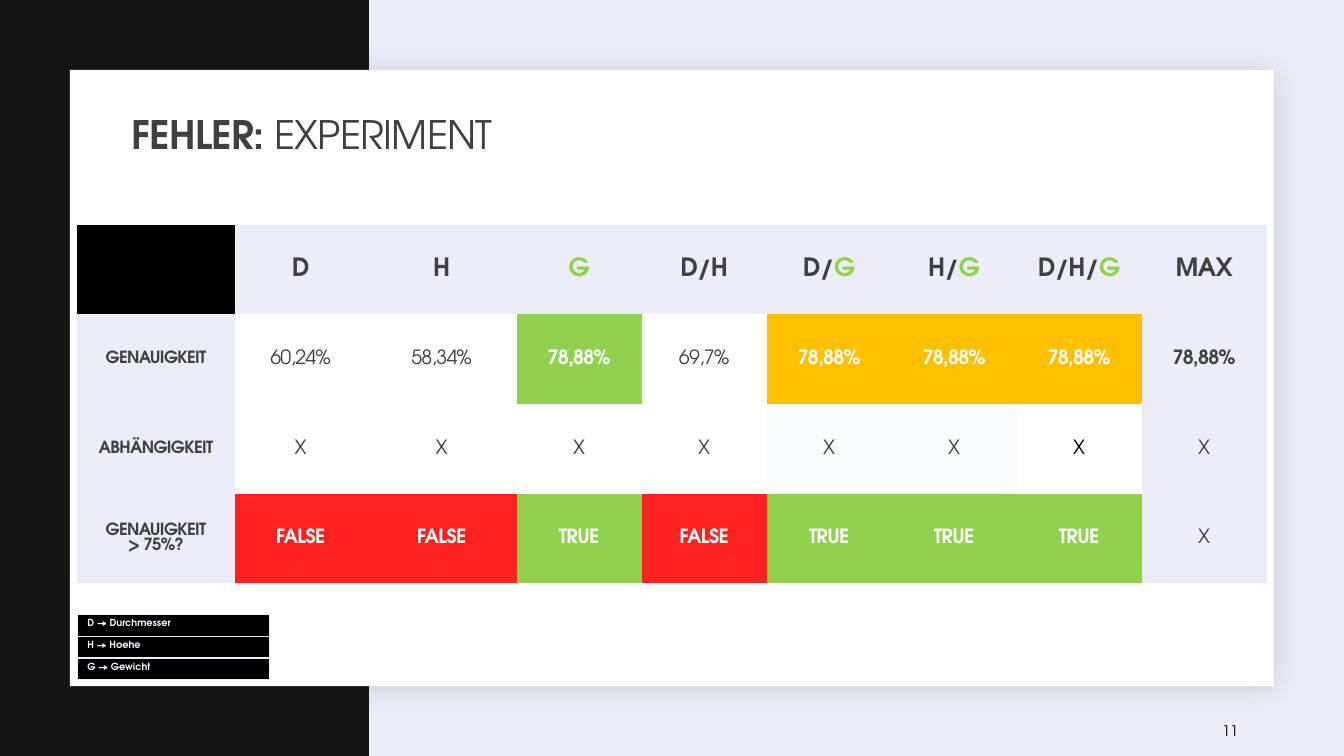
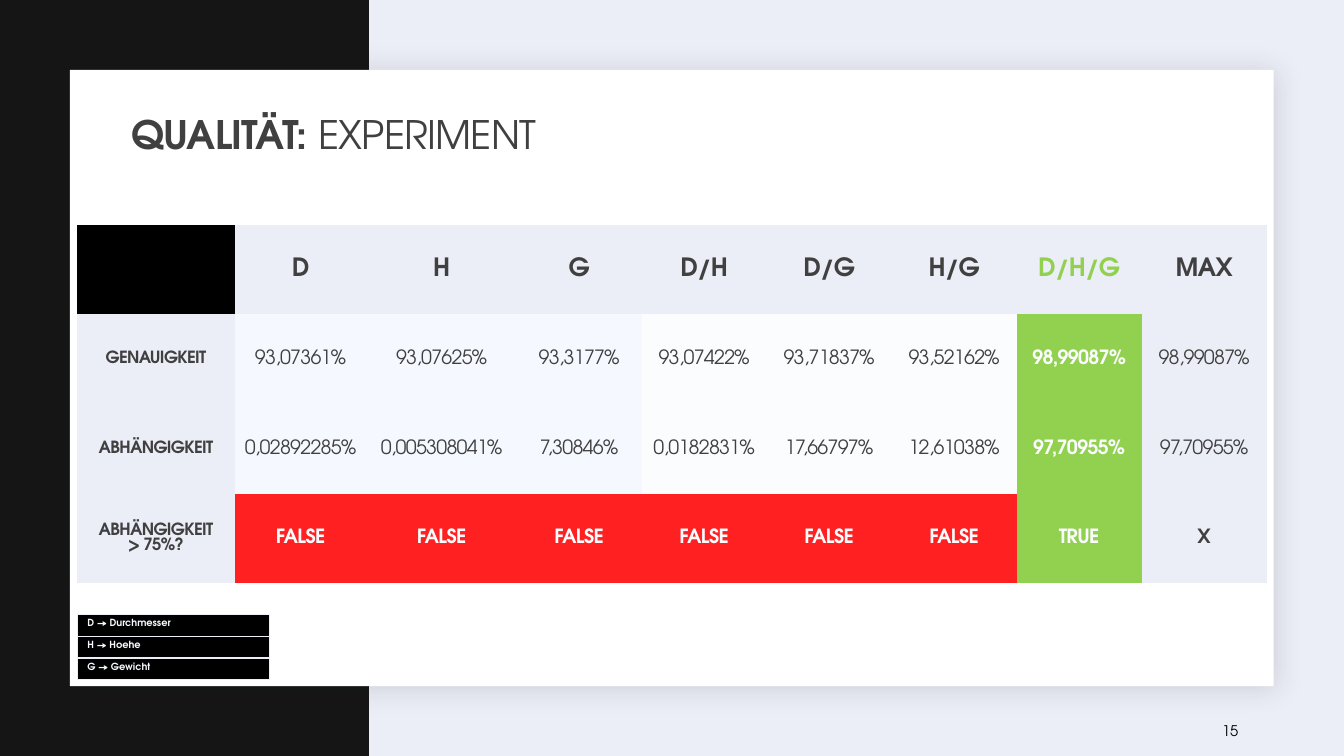
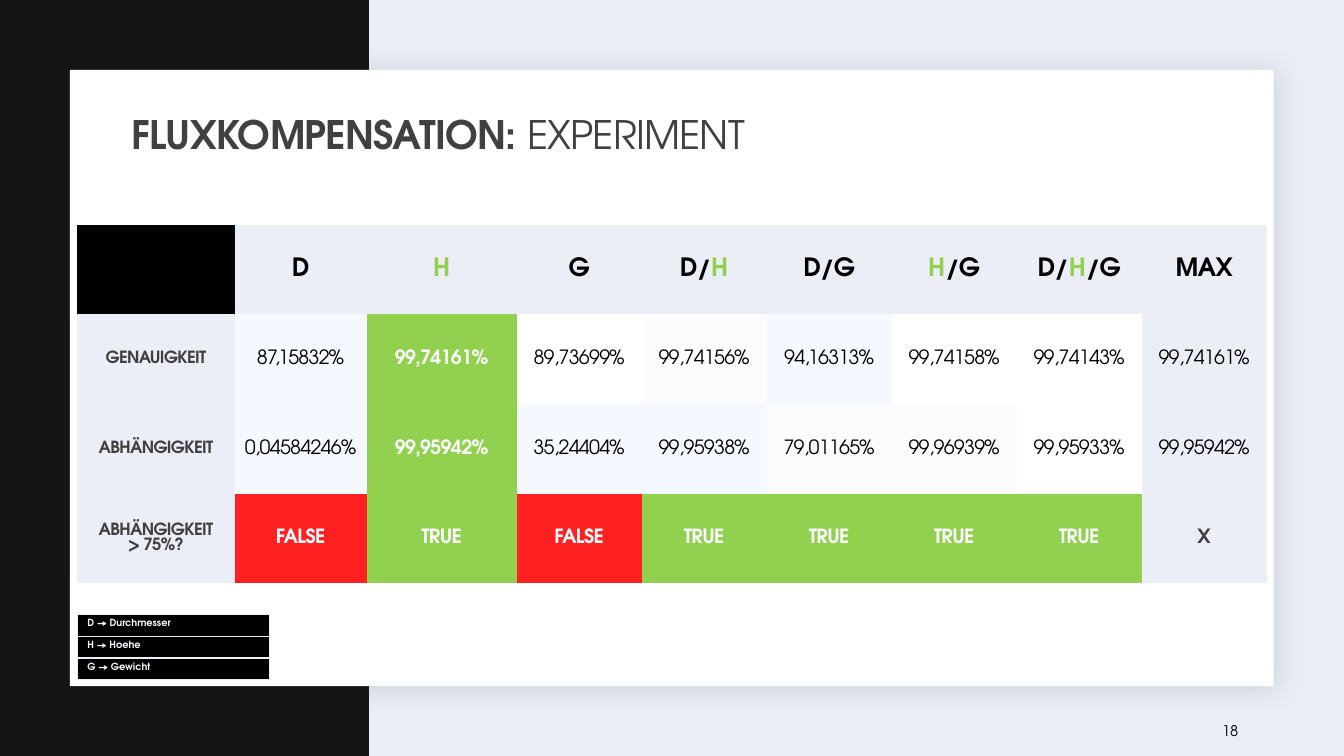
from lxml import etree
from pptx import Presentation
from pptx.dml.color import RGBColor
from pptx.enum.shapes import MSO_SHAPE
from pptx.enum.text import MSO_ANCHOR, PP_ALIGN
from pptx.oxml.ns import qn
from pptx.util import Cm, Pt

RECT = MSO_SHAPE.RECTANGLE
MIDDLE, TOP = MSO_ANCHOR.MIDDLE, MSO_ANCHOR.TOP
LEFT, CENTER = PP_ALIGN.LEFT, PP_ALIGN.CENTER

FONT = "TeX Gyre Adventor"
NO_STYLE = "{2D5ABB26-0587-4C30-8999-92F81FD0307C}"
COLORS = {
    "panel": "ECEEF7", "band": "141514", "white": "FFFFFF", "black": "000000",
    "text": "404040", "mist": "FBFCFD", "ice": "F5F8FF", "shadow": "1F2125",
    "green": "92D050", "amber": "FFC000", "red": "FF2121",
}

# Cell code: fill, text colour (None = colour of the slide), bold
STYLES = {
    "w": ("white", None, False),
    "k": ("white", "black", False),
    "m": ("mist", None, False),
    "b": ("ice", None, False),
    "p": ("panel", None, False),
    "P": ("panel", "text", True),
    "g": ("green", "mist", True),
    "y": ("amber", "mist", True),
    "r": ("red", "mist", True),
}

HEADERS = ["D", "H", "G", "D/H", "D/G", "H/G", "D/H/G", "MAX"]
COL_WIDTHS = [3.96, 3.33, 3.78] + [3.15] * 6
LEGEND = ["D → Durchmesser", "H → Hoehe", "G → Gewicht"]

# Each row: label lines, cell codes, values
SLIDES = [
    {"title": "FEHLER:", "page": "11", "winner": "G", "ink": "text", "rows": [
        (["GENAUIGKEIT"], "wwgwyyyP",
         ["60,24%", "58,34%", "78,88%", "69,7%"] + ["78,88%"] * 4),
        (["ABHÄNGIGKEIT"], "wwwwmmkp", ["X"] * 8),
        (["GENAUIGKEIT", "> 75%?"], "rrgrgggp",
         ["FALSE", "FALSE", "TRUE", "FALSE", "TRUE", "TRUE", "TRUE", "X"]),
    ]},
    {"title": "QUALITÄT:", "page": "15", "winner": "D/H/G", "ink": "text", "rows": [
        (["GENAUIGKEIT"], "bbbmmmgp",
         ["93,07361%", "93,07625%", "93,3177%", "93,07422%",
          "93,71837%", "93,52162%", "98,99087%", "98,99087%"]),
        (["ABHÄNGIGKEIT"], "bbbmmmgp",
         ["0,02892285%", "0,005308041%", "7,30846%", "0,0182831%",
          "17,66797%", "12,61038%", "97,70955%", "97,70955%"]),
        (["ABHÄNGIGKEIT", "> 75%?"], "rrrrrrgP", ["FALSE"] * 6 + ["TRUE", "X"]),
    ]},
    {"title": "FLUXKOMPENSATION:", "page": "18", "winner": "H", "ink": "black", "rows": [
        (["GENAUIGKEIT"], "bgwmbwwp",
         ["87,15832%", "99,74161%", "89,73699%", "99,74156%",
          "94,16313%", "99,74158%", "99,74143%", "99,74161%"]),
        (["ABHÄNGIGKEIT"], "bgbbmmwp",
         ["0,04584246%", "99,95942%", "35,24404%", "99,95938%",
          "79,01165%", "99,96939%", "99,95933%", "99,95942%"]),
        (["ABHÄNGIGKEIT", "> 75%?"], "rgrggggP",
         ["FALSE", "TRUE", "FALSE"] + ["TRUE"] * 4 + ["X"]),
    ]},
]


def rgb(name):
    return RGBColor.from_string(COLORS[name])


def add_run(p, text, size, color, bold=False, spacing=0):
    r = p.add_run()
    r.text = text
    r.font.name = FONT
    r.font.size = Pt(size)
    r.font.bold = bold
    r.font.color.rgb = rgb(color)
    if spacing:
        r.font._element.set("spc", str(int(spacing * 100)))


def add_rect(s, x, y, w, h, color):
    sp = s.shapes.add_shape(RECT, Cm(x), Cm(y), Cm(w), Cm(h))
    sp.shadow.inherit = False
    sp.fill.solid()
    sp.fill.fore_color.rgb = rgb(color)
    sp.line.fill.background()
    return sp


def add_soft_shadow(sp):
    effects = sp._element.spPr.find(qn("a:effectLst"))
    shadow = etree.SubElement(effects, qn("a:outerShdw"), blurRad=str(Pt(20)),
                              dist=str(Pt(2)), dir="2700000", algn="tl", rotWithShape="0")
    color = etree.SubElement(shadow, qn("a:srgbClr"), val=COLORS["shadow"])
    etree.SubElement(color, qn("a:alpha"), val="15000")


def add_text_box(s, x, y, w, h):
    tf = s.shapes.add_textbox(Cm(x), Cm(y), Cm(w), Cm(h)).text_frame
    tf.word_wrap = True
    tf.vertical_anchor = MIDDLE
    return tf.paragraphs[0]


def add_plain_table(s, x, y, widths, row_height, rows):
    frame = s.shapes.add_table(rows, len(widths), Cm(x), Cm(y),
                               Cm(sum(widths)), Cm(row_height * rows))
    table = frame.table
    table.first_row = table.horz_banding = False
    next(frame._element.iter(qn("a:tableStyleId"))).text = NO_STYLE
    for column, width in zip(table.columns, widths):
        column.width = Cm(width)
    for row in table.rows:
        row.height = Cm(row_height)
    return table


def fill_cell(cell, color, lines=(), size=14, align=CENTER, anchor=MIDDLE, spacing=-0.5):
    """Fill a cell; each line is a list of (text, colour, bold) runs."""
    cell.fill.solid()
    cell.fill.fore_color.rgb = rgb(color)
    cell.vertical_anchor = anchor
    cell.margin_left = cell.margin_right = Cm(0.25 if align == LEFT else 0.1)
    tf = cell.text_frame
    for i, runs in enumerate(lines):
        p = tf.add_paragraph() if i else tf.paragraphs[0]
        p.alignment = align
        for text, ink, bold in runs:
            add_run(p, text, size, ink, bold, spacing)


def add_cell_borders(cell, color, width):
    tc_pr = cell._tc.get_or_add_tcPr()
    for i, side in enumerate(("a:lnL", "a:lnR", "a:lnT", "a:lnB")):
        ln = etree.Element(qn(side), w=str(Pt(width)))
        fill = etree.SubElement(ln, qn("a:solidFill"))
        etree.SubElement(fill, qn("a:srgbClr"), val=COLORS[color])
        tc_pr.insert(i, ln)


def header_runs(label, winner, ink):
    """Split a header so that the winning feature turns green."""
    before, hit, after = label.partition(winner)
    parts = [(before, ink), (hit, "green"), (after, ink)]
    return [(text, color, True) for text, color in parts if text]


def add_frame(s, title, page):
    # Background, dark band and white card
    s.background.fill.solid()
    s.background.fill.fore_color.rgb = rgb("panel")
    add_rect(s, 0, 0, 9.3, 19.05, "band")
    add_soft_shadow(add_rect(s, 1.76, 1.76, 30.34, 15.53, "white"))
    # Title and page number
    p = add_text_box(s, 3.07, 2.62, 27.94, 1.63)
    p.line_spacing = 0.9
    add_run(p, title + " ", 28, "text", True, -0.5)
    add_run(p, "EXPERIMENT", 28, "text", False, -0.5)
    add_run(add_text_box(s, 30.55, 17.91, 2.16, 1.02), page, 10.5, "black")


def add_results(s, winner, ink, rows):
    table = add_plain_table(s, 1.95, 5.66, COL_WIDTHS, 2.26, len(rows) + 1)
    # Header row
    fill_cell(table.cell(0, 0), "black")
    for col, label in enumerate(HEADERS, 1):
        fill_cell(table.cell(0, col), "panel", [header_runs(label, winner, ink)], 18)
    # Result rows
    for row, (label, codes, values) in enumerate(rows, 1):
        fill_cell(table.cell(row, 0), "panel",
                  [[(line, "text", True)] for line in label], 12)
        for col, (code, value) in enumerate(zip(codes, values), 1):
            fill, color, bold = STYLES[code]
            fill_cell(table.cell(row, col), fill, [[(value, color or ink, bold)]])


def add_legend(s):
    table = add_plain_table(s, 1.95, 15.48, [4.85], 0.55, len(LEGEND))
    for row, text in enumerate(LEGEND):
        cell = table.cell(row, 0)
        cell.margin_top = Cm(0.13)
        cell.margin_bottom = Cm(0)
        fill_cell(cell, "black", [[(text, "ice", True)]], 7, LEFT, TOP, 0)
        add_cell_borders(cell, "panel", 1)


def main():
    prs = Presentation()
    prs.slide_width, prs.slide_height = Cm(33.87), Cm(19.05)
    blank = prs.slide_layouts[6]
    for content in SLIDES:
        s = prs.slides.add_slide(blank)
        add_frame(s, content["title"], content["page"])
        add_results(s, content["winner"], content["ink"], content["rows"])
        add_legend(s)
    prs.save("out.pptx")


if __name__ == "__main__":
    main()
